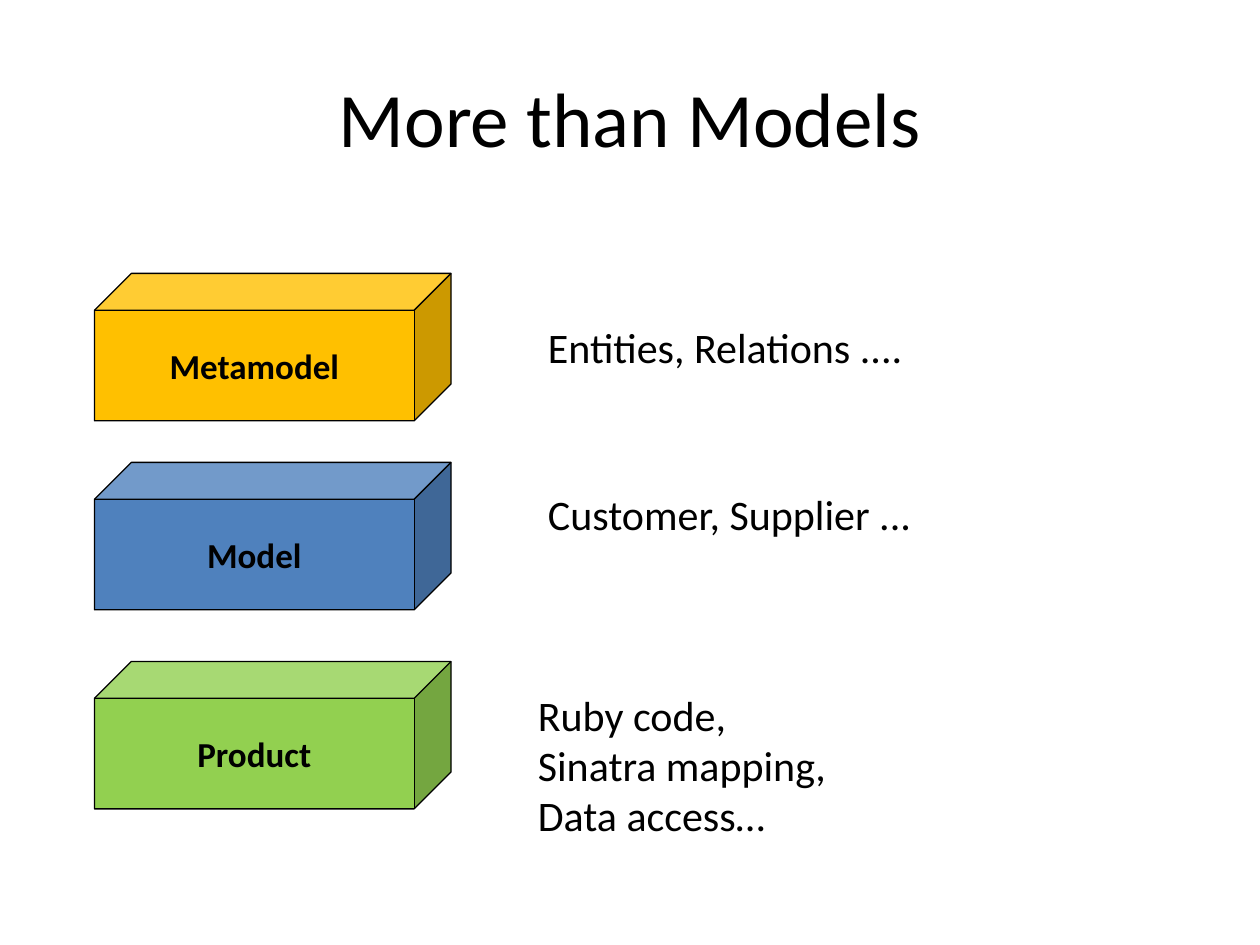
from pptx import Presentation
from pptx.dml.color import RGBColor
from pptx.enum.shapes import MSO_SHAPE
from pptx.enum.text import MSO_ANCHOR, MSO_AUTO_SIZE, PP_ALIGN
from pptx.util import Inches, Pt

BLACK = RGBColor(0x00, 0x00, 0x00)
AMBER = RGBColor(0xFF, 0xC0, 0x00)
BLUE = RGBColor(0x4F, 0x81, 0xBD)
GREEN = RGBColor(0x92, 0xD0, 0x50)


def write(tf, text, size, align, bold=False):
    tf.text = text
    p = tf.paragraphs[0]
    p.alignment = align
    for r in p.runs:
        r.font.name = "Calibri"
        r.font.size = Pt(size)
        r.font.bold = bold
        r.font.color.rgb = BLACK


prs = Presentation()
prs.slide_width, prs.slide_height = Inches(10), Inches(7.5)
s = prs.slides.add_slide(prs.slide_layouts[6])

# Title
tf = s.shapes.add_textbox(Inches(0.5), Inches(0.3), Inches(9), Inches(1.25)).text_frame
tf.word_wrap = True
tf.vertical_anchor = MSO_ANCHOR.MIDDLE
write(tf, "More than Models", 44, PP_ALIGN.CENTER)

# Layer cubes
cubes = [("Metamodel", 2.17, AMBER), ("Model", 3.67, BLUE), ("Product", 5.25, GREEN)]
for name, top, color in cubes:
    sp = s.shapes.add_shape(MSO_SHAPE.CUBE, Inches(0.75), Inches(top), Inches(2.83), Inches(1.17))
    sp.shadow.inherit = False
    sp.fill.solid()
    sp.fill.fore_color.rgb = color
    sp.line.color.rgb = BLACK
    sp.line.width = Pt(0.75)
    tf = sp.text_frame
    tf.word_wrap = False
    tf.vertical_anchor = MSO_ANCHOR.MIDDLE
    write(tf, name, 20, PP_ALIGN.CENTER, bold=True)

# Examples beside each layer (\v is a line break)
examples = [
    ("Entities, Relations ....", 4.25, 2.5, 3.05, 0.51),
    ("Customer, Supplier ...", 4.25, 3.83, 3.11, 0.51),
    ("Ruby code, \vSinatra mapping,\vData access…", 4.17, 5.42, 2.51, 1.31),
]
for text, *box in examples:
    tf = s.shapes.add_textbox(*map(Inches, box)).text_frame
    tf.word_wrap = False
    tf.auto_size = MSO_AUTO_SIZE.SHAPE_TO_FIT_TEXT
    write(tf, text, 24, PP_ALIGN.LEFT)

prs.save("out.pptx")
